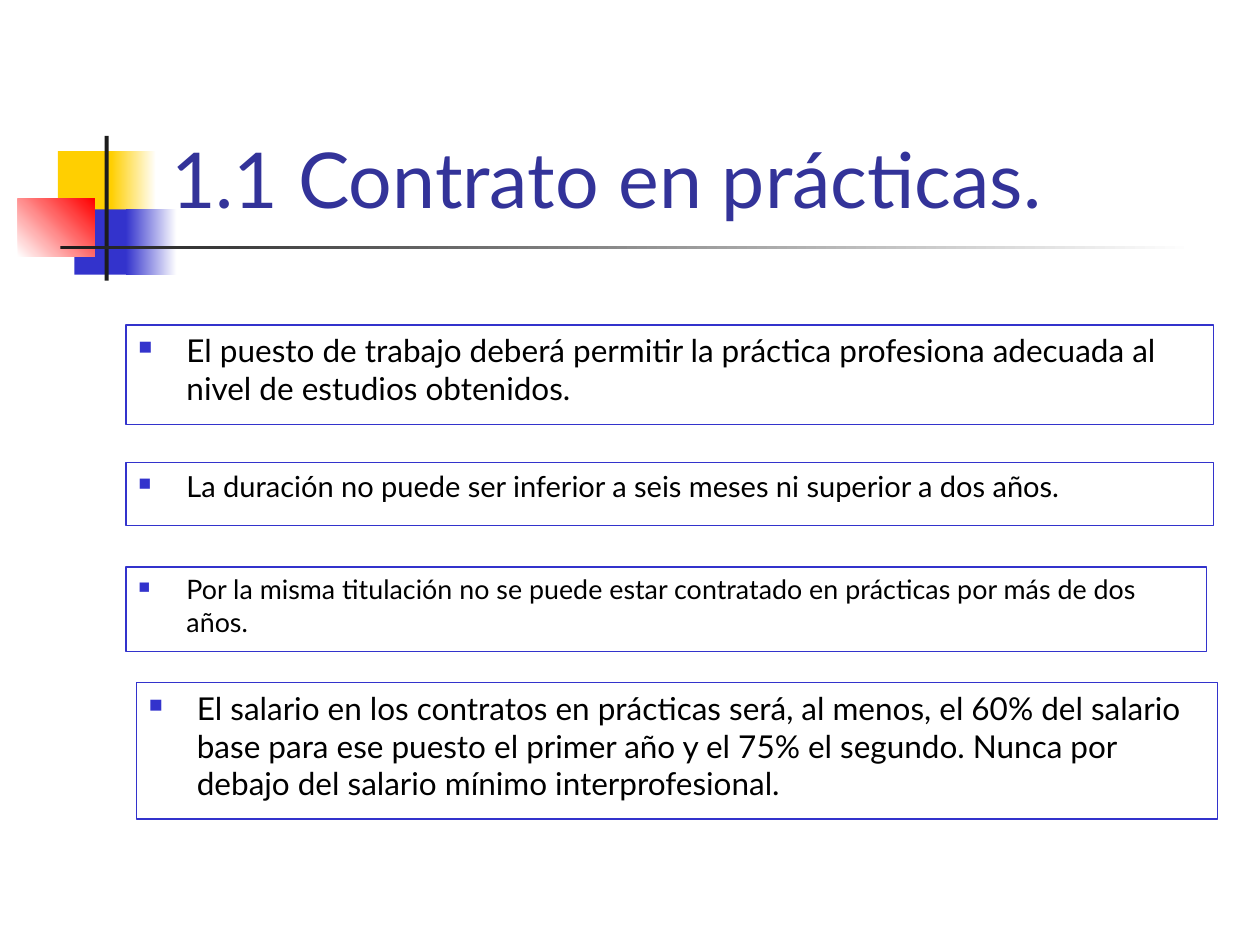
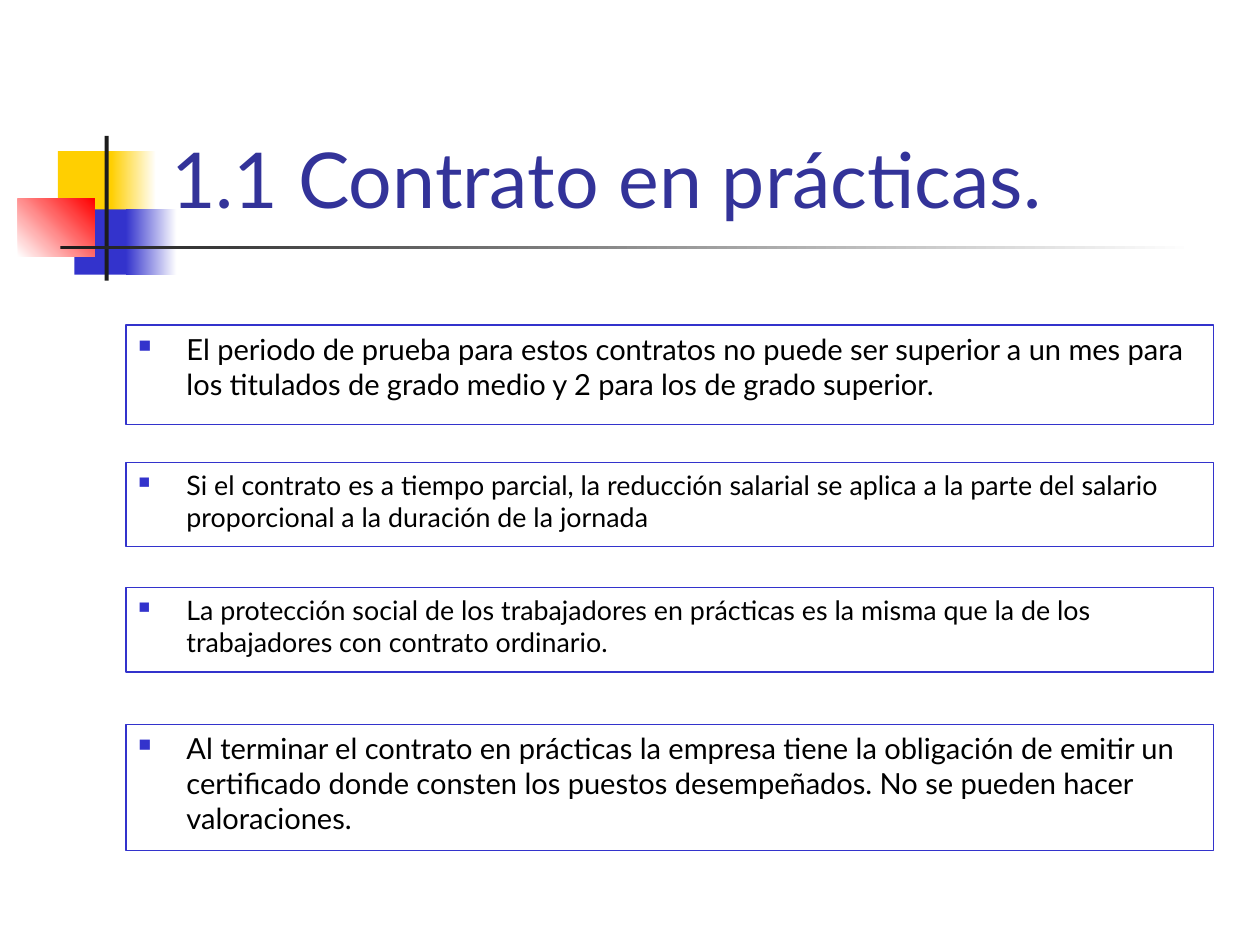
from lxml import etree
from pptx import Presentation
from pptx.dml.color import RGBColor
from pptx.enum.shapes import MSO_SHAPE
from pptx.enum.text import MSO_ANCHOR, PP_ALIGN
from pptx.oxml.ns import qn
from pptx.util import Cm, Pt

RECTANGLE = MSO_SHAPE.RECTANGLE
TOP, BOTTOM = MSO_ANCHOR.TOP, MSO_ANCHOR.BOTTOM
LEFT = PP_ALIGN.LEFT

FONT = "Lato"
COLORS = {
    "yellow": "FFCF01",
    "blue": "3333CC",
    "red": "FF0000",
    "dark": "1C1C1C",
    "white": "FFFFFF",
    "title": "333399",
    "text": "000000",
}
TITLE = "1.1 Contrato en prácticas."
BOX_LEFT, BOX_WIDTH = 2.54, 21.92
NARROW_WIDTH = 21.79
HANGING_INDENT = Cm(0.97)

# Title ornament: left, top, width, height, start colour, end colour, angle
ORNAMENT = [
    (1.17, 3.05, 1.22, 1.32, "yellow", None, 0),
    (2.24, 3.05, 0.91, 1.32, "yellow", "white", 0),
    (1.5, 4.22, 1.17, 1.32, "blue", None, 0),
    (2.54, 4.22, 1.02, 1.32, "blue", "white", 0),
    (0.36, 4.01, 1.55, 1.17, "white", "red", 45),
    (2.11, 2.74, 0.08, 2.92, "dark", None, 0),
    (1.22, 4.95, 22.86, 0.08, "dark", "white", 0),
]

# Boxes of each slide: left, top, width, height, text size, text
SLIDES = [
    [
        (BOX_LEFT, 6.55, BOX_WIDTH, 2.01, 18,
         "El puesto de trabajo deberá permitir la práctica profesiona adecuada "
         "al nivel de estudios obtenidos."),
        (BOX_LEFT, 9.32, BOX_WIDTH, 1.27, 16.6,
         "La duración no puede ser inferior a seis meses ni superior a dos años."),
        (BOX_LEFT, 11.43, NARROW_WIDTH, 1.7, 15.3,
         "Por la misma titulación no se puede estar contratado en prácticas "
         "por más de dos años."),
        (2.75, 13.76, NARROW_WIDTH, 2.75, 18,
         "El salario en los contratos en prácticas será, al menos, el 60% del "
         "salario base para ese puesto el primer año y el 75% el segundo. Nunca "
         "por debajo del salario mínimo interprofesional."),
    ],
    [
        (BOX_LEFT, 6.55, BOX_WIDTH, 2.01, 16.6,
         "El periodo de prueba para estos contratos no puede ser superior a un "
         "mes para los titulados de grado medio y 2 para los de grado superior."),
        (BOX_LEFT, 9.32, BOX_WIDTH, 1.7, 15.3,
         "Si el contrato es a tiempo parcial, la reducción salarial se aplica a "
         "la parte del salario proporcional a la duración de la jornada"),
        (BOX_LEFT, 11.85, BOX_WIDTH, 1.7, 15.3,
         "La protección social de los trabajadores en prácticas es la misma que "
         "la de los trabajadores con contrato ordinario."),
        (BOX_LEFT, 14.6, BOX_WIDTH, 2.54, 16.6,
         "Al terminar el contrato en prácticas la empresa tiene la obligación "
         "de emitir un certificado donde consten los puestos desempeñados. No "
         "se pueden hacer valoraciones."),
    ],
]


def write_text(shape, text, size, color, anchor, bullet=False):
    frame = shape.text_frame
    frame.word_wrap = True
    frame.vertical_anchor = anchor
    paragraph = frame.paragraphs[0]
    paragraph.text = text
    paragraph.alignment = LEFT
    if bullet:
        properties = paragraph._p.get_or_add_pPr()
        properties.set("marL", str(HANGING_INDENT))
        properties.set("indent", str(-HANGING_INDENT))
        bullet_color = etree.SubElement(properties, qn("a:buClr"))
        etree.SubElement(bullet_color, qn("a:srgbClr"), val=COLORS["blue"])
        etree.SubElement(properties, qn("a:buSzPct"), val="60000")
        etree.SubElement(properties, qn("a:buChar"), char="■")
    paragraph.font.name = FONT
    paragraph.font.size = Pt(size)
    paragraph.font.color.rgb = RGBColor.from_string(COLORS[color])


presentation = Presentation()
presentation.slide_width = Cm(25.4)
presentation.slide_height = Cm(19.05)
blank_layout = presentation.slide_layouts[6]

for boxes in SLIDES:
    slide = presentation.slides.add_slide(blank_layout)

    # Ornament and rule around the title
    for *place, start, end, angle in ORNAMENT:
        shape = slide.shapes.add_shape(RECTANGLE, *map(Cm, place))
        shape.shadow.inherit = False
        shape.line.fill.background()
        if end is None:
            shape.fill.solid()
            shape.fill.fore_color.rgb = RGBColor.from_string(COLORS[start])
        else:
            shape.fill.gradient()
            shape.fill.gradient_angle = angle
            for stop, name in zip(shape.fill.gradient_stops, (start, end)):
                stop.color.rgb = RGBColor.from_string(COLORS[name])

    # Title
    title = slide.shapes.add_textbox(Cm(3.2), Cm(0.58), Cm(21.64), Cm(4.06))
    write_text(title, TITLE, 44, "title", BOTTOM)

    # Outlined boxes, one bullet each
    for *place, size, text in boxes:
        box = slide.shapes.add_shape(RECTANGLE, *map(Cm, place))
        box.shadow.inherit = False
        box.fill.background()
        box.line.color.rgb = RGBColor.from_string(COLORS["blue"])
        box.line.width = Pt(0.75)
        write_text(box, text, size, "text", TOP, bullet=True)

presentation.save("out.pptx")
